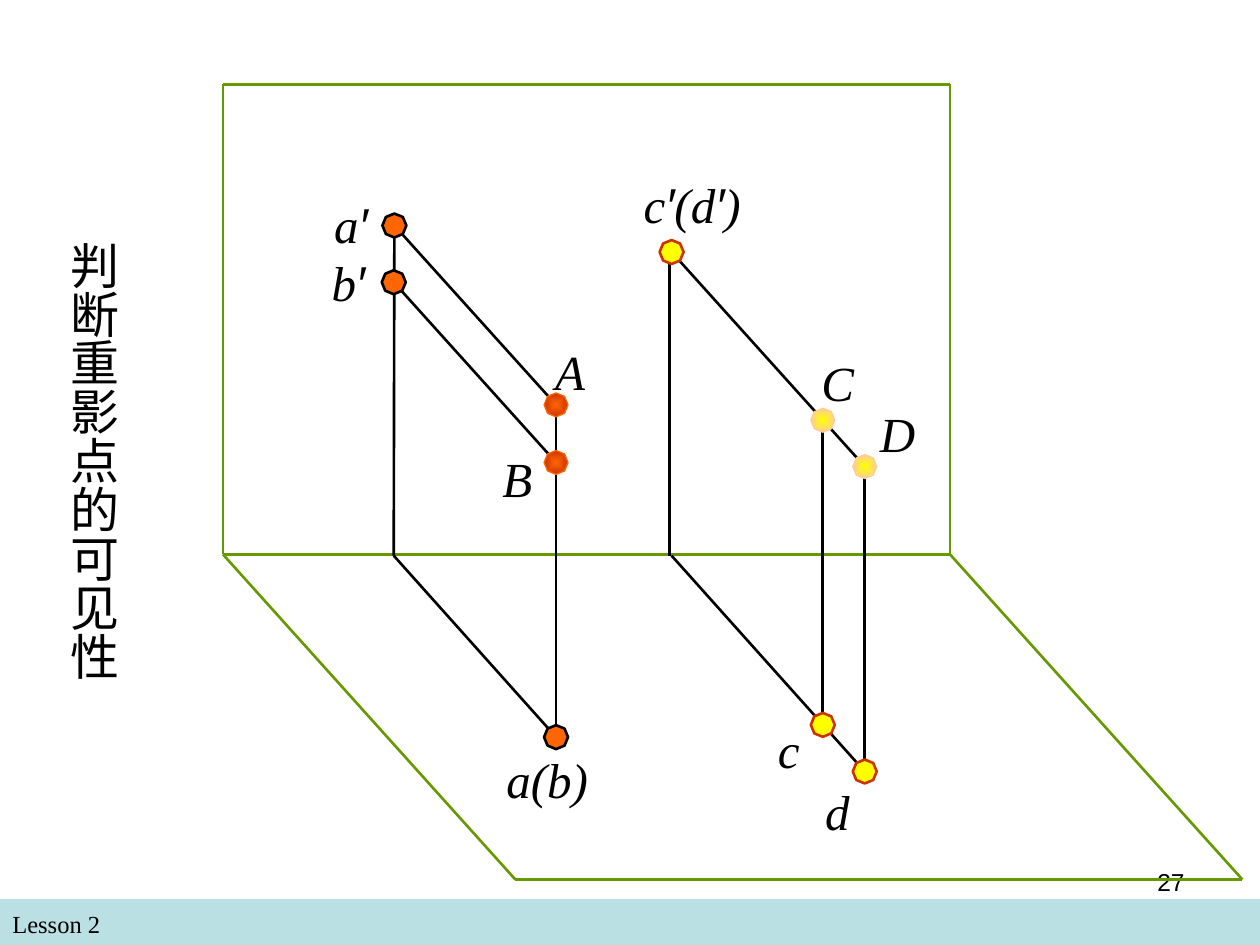
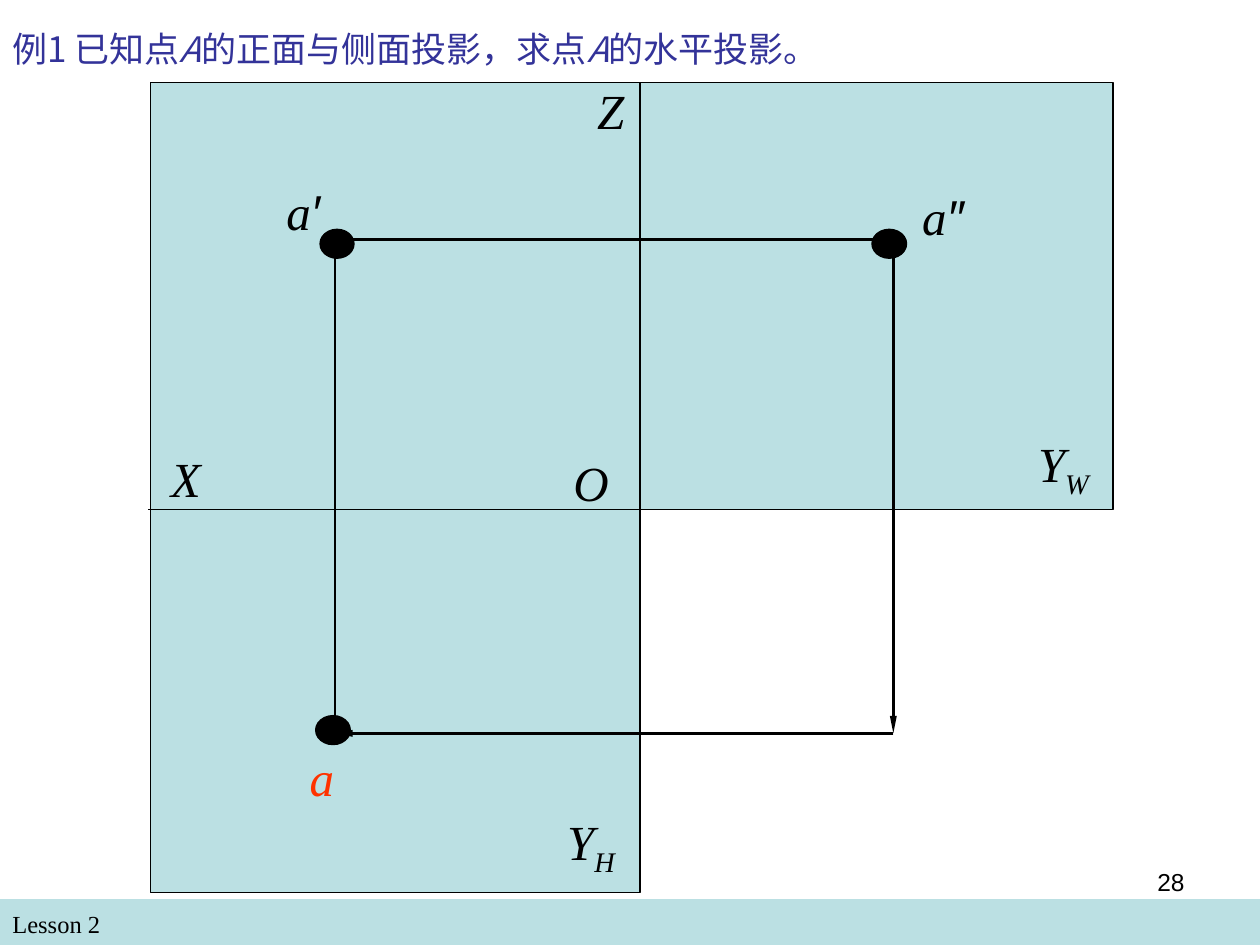
from dataclasses import dataclass
from math import cos, pi, sin

from lxml.etree import SubElement
from pptx import Presentation
from pptx.dml.color import RGBColor
from pptx.enum.shapes import MSO_CONNECTOR, MSO_SHAPE
from pptx.enum.text import MSO_ANCHOR, PP_ALIGN
from pptx.oxml.ns import qn
from pptx.util import Inches, Pt

STRAIGHT = MSO_CONNECTOR.STRAIGHT
RECTANGLE, OVAL = MSO_SHAPE.RECTANGLE, MSO_SHAPE.OVAL
LEFT, CENTER, RIGHT = PP_ALIGN.LEFT, PP_ALIGN.CENTER, PP_ALIGN.RIGHT
MIDDLE = MSO_ANCHOR.MIDDLE


@dataclass(frozen=True)
class Theme:
    black: RGBColor = RGBColor.from_string("000000")
    band: RGBColor = RGBColor.from_string("BBE0E3")
    title: RGBColor = RGBColor.from_string("333399")
    plane: RGBColor = RGBColor.from_string("669900")
    orange: RGBColor = RGBColor.from_string("FF6600")
    rust: RGBColor = RGBColor.from_string("CC3300")
    yellow: RGBColor = RGBColor.from_string("FFFF00")
    peach: RGBColor = RGBColor.from_string("FFCC99")
    answer: RGBColor = RGBColor.from_string("FF3300")
    serif: str = "Times New Roman"
    sans: str = "Arial"
    chinese: str = "Noto Sans CJK SC"
    label_size: int = 28
    title_size: int = 20
    footer_size: int = 14
    thin: float = 0.75
    thick: float = 1.5


theme = Theme()
presentation = Presentation()
presentation.slide_width, presentation.slide_height = Inches(10), Inches(7.5)

# The grid has 100 columns and 75 rows of square cells
CELL = presentation.slide_width // 100


def add_line(slide, start, end, colour=theme.black, width=theme.thick, arrow=False):
    ends = [round(value * CELL) for value in (*start, *end)]
    line = slide.shapes.add_connector(STRAIGHT, *ends)
    line.line.color.rgb = colour
    line.line.width = Pt(width)
    if arrow:
        SubElement(line.line._get_or_add_ln(), qn("a:tailEnd"),
                   type="triangle", w="sm", len="lg")
    SubElement(line._element.spPr, qn("a:effectLst"))


def add_text(slide, cells, pieces, size=theme.label_size, font=theme.serif,
             colour=theme.black, italic=True, align=LEFT):
    box = slide.shapes.add_textbox(*[round(value * CELL) for value in cells])
    box.text_frame.word_wrap = True
    paragraph = box.text_frame.paragraphs[0]
    paragraph.alignment = align
    for piece in pieces:
        run = paragraph.add_run()
        run.text = piece
        run.font.size = Pt(size)
        run.font.italic = italic
        run.font.color.rgb = colour
        run.font.name = theme.sans if piece in ("′", "″") else font
        SubElement(run._r.get_or_add_rPr(), qn("a:ea"), typeface=run.font.name)
    return box


# Footer band, lesson name and page number on both slides
slides = []
for page in (27, 28):
    slide = presentation.slides.add_slide(presentation.slide_layouts[6])
    band = slide.shapes.add_shape(
        RECTANGLE, 0, round(71.35 * CELL), 100 * CELL, round(3.65 * CELL))
    band.shadow.inherit = False
    band.fill.solid()
    band.fill.fore_color.rgb = theme.band
    band.line.fill.background()
    add_text(slide, (0, 71.65, 48.3, 3.4), ["Lesson 2"], theme.footer_size, italic=False)
    add_text(slide, (71.7, 68.3, 23.3, 5.2), [str(page)], theme.footer_size,
             theme.sans, italic=False, align=RIGHT)
    slides.append(slide)
space_slide, example_slide = slides

# Slide 1: vertical and horizontal projection planes
wall_left, wall_right, wall_top, fold = 17.7, 75.4, 6.7, 44
floor_left, floor_right, floor_front = 40.9, 98.6, 69.8
plane_outlines = [
    [(wall_left, fold), (wall_left, wall_top), (wall_right, wall_top), (wall_right, fold)],
    [(wall_left, fold), (floor_left, floor_front), (floor_right, floor_front),
     (wall_right, fold), (wall_left, fold)],
]
for corners in plane_outlines:
    for start, end in zip(corners, corners[1:]):
        add_line(space_slide, start, end, theme.plane)

# Slide 1: points in space and their projections
A, B, a_b = (44.13, 32.13), (44.13, 36.7), (44.13, 58.5)
a_front, b_front = (31.3, 17.9), (31.25, 22.4)
C, D, c, d = (65.3, 33.35), (68.63, 37.03), (65.3, 57.53), (68.63, 61.23)
c_d_front = (53.3, 20)
projectors = [
    (a_front, (31.25, 44.1)), ((31.25, 44.1), a_b), (A, a_b), (a_front, A), (b_front, B),
    ((53.13, 20.2), (53.13, 44.1)), ((53.3, 44.1), d), (c_d_front, D), (C, c), (D, d),
]
for start, end in projectors:
    add_line(space_slide, start, end)

dot_groups = [
    ((a_front, b_front, a_b), theme.orange, None, theme.black),
    ((c_d_front, c, d), theme.yellow, None, theme.rust),
    ((A, B), theme.orange, theme.rust, theme.orange),
    ((C, D), theme.yellow, theme.peach, theme.peach),
]
DOT_RADIUS = 0.95
for centers, inner, outer, edge in dot_groups:
    for x, y in centers:
        corners = [(round((x + DOT_RADIUS * cos(step * pi / 4)) * CELL),
                    round((y + DOT_RADIUS * sin(step * pi / 4)) * CELL))
                   for step in range(8)]
        builder = space_slide.shapes.build_freeform(*corners[0])
        builder.add_line_segments(corners[1:], close=True)
        dot = builder.convert_to_shape()
        dot.shadow.inherit = False
        dot.line.color.rgb = edge
        dot.line.width = Pt(theme.thin if outer else theme.thick)
        if outer:
            # Gradient from the middle outwards
            dot.fill.gradient()
            for stop, colour in zip(dot.fill.gradient_stops, (inner, outer)):
                stop.color.rgb = colour
            gradient = dot._element.spPr.find(qn("a:gradFill"))
            gradient.remove(gradient.find(qn("a:lin")))
            spread = SubElement(gradient, qn("a:path"))
            spread.set("path", "rect")
            SubElement(spread, qn("a:fillToRect"), l="50000", t="50000", r="50000", b="50000")
        else:
            dot.fill.solid()
            dot.fill.fore_color.rgb = inner

# Slide 1: point names and vertical heading
for left, top, width, pieces, align in [
    (24.5, 14.95, 6.7, ["a", "′"], CENTER),
    (24.3, 19.55, 6.7, ["b", "′"], CENTER),
    (41.9, 26.65, 6.7, ["A"], CENTER),
    (37.7, 35.1, 6.7, ["B"], CENTER),
    (39.2, 59, 14.5, ["a(b)"], LEFT),
    (50.1, 13.35, 14.6, ["c", "′", "(d", "′", ")"], LEFT),
    (64.2, 27.5, 4.2, ["C"], LEFT),
    (68.85, 31.5, 4.2, ["D"], LEFT),
    (60.75, 56.6, 4.2, ["c"], LEFT),
    (64.5, 61.5, 4.2, ["d"], LEFT),
]:
    add_text(space_slide, (left, top, width, 5.7), pieces, align=align)

heading = add_text(space_slide, (3.65, 18.15, 6.6, 38), ["判断重影点的可见性"],
                   font=theme.sans, italic=False)
frame = heading.text_frame
frame.margin_left = frame.margin_right = Inches(0.05)
frame.margin_top = frame.margin_bottom = Inches(0.1)
frame._txBody.bodyPr.set("vert", "eaVert")

# Slide 2: task
task = add_text(example_slide, (0, 1.7, 75, 6.7),
                ["例1 已知点", "A", "的正面与侧面投影，求点", "A", "的水平投影。"],
                theme.title_size, theme.chinese, theme.title, italic=False)
for run in task.text_frame.paragraphs[0].runs[1::2]:
    run.font.italic = True

# Slide 2: panels and points
panels = [(11.93, 6.53, 38.87, 64.3), (50.8, 6.53, 37.53, 33.9)]
points = [(69.2, 18.2, 2.75, 2.3), (25.4, 18.2, 2.7, 2.3), (25.05, 56.8, 2.75, 2.3)]
for kind, places, fill in [(RECTANGLE, panels, theme.band), (OVAL, points, theme.black)]:
    for place in places:
        shape = example_slide.shapes.add_shape(kind, *[round(value * CELL) for value in place])
        shape.shadow.inherit = False
        shape.fill.solid()
        shape.fill.fore_color.rgb = fill
        shape.line.color.rgb = theme.black
        shape.line.width = Pt(theme.thin)

# Slide 2: axis and projection lines
left, right, top, bottom = 26.6, 70.9, 19, 58.2
add_line(example_slide, (50.8, 40.43), (11.75, 40.43), width=theme.thin)
add_line(example_slide, (left, top), (right, top))
add_line(example_slide, (left, top + 1), (left, bottom), arrow=True)
add_line(example_slide, (right, top), (right, bottom), arrow=True)
add_line(example_slide, (right, bottom), (left, bottom), arrow=True)

# Slide 2: axis names, with the plane as a subscript
for left, top, width, height, pieces in [
    (11.4, 35.05, 6.7, 5.7, ["X"]),
    (46.4, 5.9, 4.1, 5.7, ["Z"]),
    (44.5, 35.4, 4.8, 5.7, ["O"]),
    (80.55, 33.9, 7.7, 6.3, ["Y", "W"]),
    (42.2, 63.9, 9.4, 6.3, ["Y", "H"]),
]:
    name = add_text(example_slide, (left, top, width, height), pieces, align=CENTER)
    name.text_frame.vertical_anchor = MIDDLE
    for run in name.text_frame.paragraphs[0].runs[1:]:
        run._r.get_or_add_rPr().set("baseline", "-25000")

# Slide 2: projection names
for left, top, width, pieces, colour in [
    (21.75, 13.9, 6.2, ["a", "′"], theme.black),
    (72.2, 14.35, 6.7, ["a", "″"], theme.black),
    (23.6, 58.8, 3.9, ["a"], theme.answer),
]:
    add_text(example_slide, (left, top, width, 5.7), pieces, colour=colour)

presentation.save("out.pptx")
